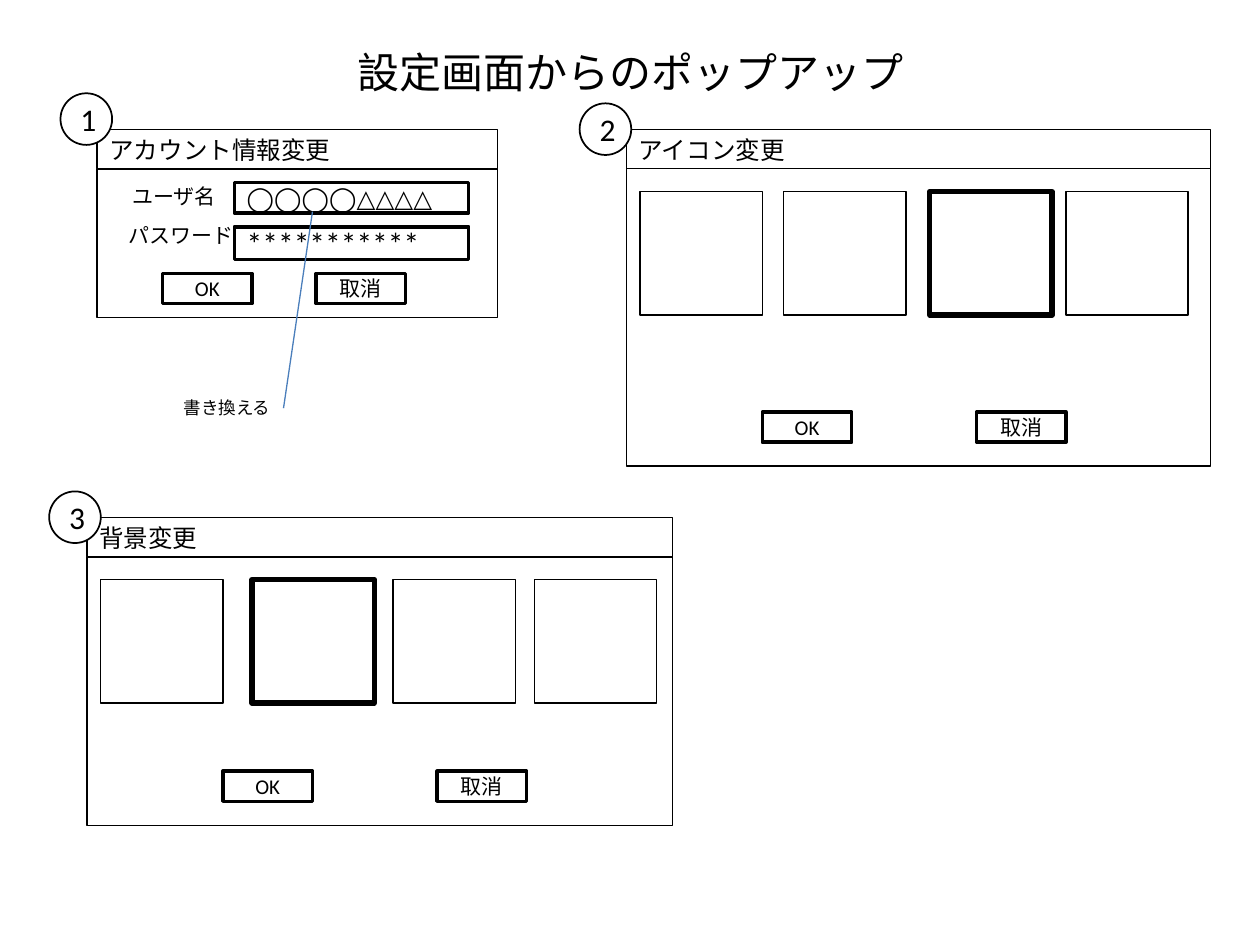
from lxml import etree
from pptx import Presentation
from pptx import util as u
from pptx.dml.color import RGBColor
from pptx.enum import shapes, text
from pptx.oxml.ns import qn

BLACK, WHITE, BLUE = "000000", "FFFFFF", "4A7EBB"
LEFT, MID = text.PP_ALIGN.LEFT, text.PP_ALIGN.CENTER
HEAD = 0.31


def tint(fmt, color):
    """Set a colour format from a hex string."""
    fmt.rgb = RGBColor.from_string(color)


def place(shape, box):
    """Move and size a shape to a box in inches."""
    for name, val in zip(("left", "top", "width", "height"), box):
        setattr(shape, name, u.Inches(val))


def write(shape, words, size, align=LEFT, face="Calibri", **frame):
    """Put one formatted line of text in a shape."""
    body = shape.text_frame
    for name, val in frame.items():
        setattr(body, name, val)
    body.text = words
    par = body.paragraphs[0]
    par.alignment = align
    font = par.runs[0].font
    for name, val in {"size": u.Pt(size), "name": face}.items():
        setattr(font, name, val)
    tint(font.color, BLACK)


def label(parts, box, words, size, **style):
    """Add a plain text box."""
    area = parts.add_textbox(*map(u.Inches, box))
    write(area, words, size, **style)


def frame(parts, box, line=0.75, fill=None, kind=shapes.MSO_SHAPE.RECTANGLE):
    """Add an outlined shape, empty unless a fill is given."""
    shape = parts.add_shape(kind, *map(u.Inches, box))
    shape.shadow.inherit = False
    if fill:
        shape.fill.solid()
        tint(shape.fill.fore_color, fill)
    else:
        shape.fill.background()
    shape.line.width = u.Pt(line)
    tint(shape.line.color, BLACK)
    return shape


def field(parts, box, words, size, line=2, align=LEFT, fill=None):
    """Add a framed line of text, used for headers, inputs and buttons."""
    shape = frame(parts, box, line, fill)
    write(shape, words, size, align, word_wrap=False,
          vertical_anchor=text.MSO_ANCHOR.MIDDLE)


def window(slide, box, name, keys, rise):
    """Draw a popup with its header and buttons; return its parts."""
    x, y, w, h = box
    parts = slide.shapes.add_group_shape().shapes
    frame(parts, (x, y + HEAD, w, h - HEAD))
    field(parts, (x, y, w, HEAD), name, 14, line=0.75)
    for dx, words in zip(keys, ("OK", "取消")):
        field(parts, (x + dx, y + h - rise, 0.71, 0.24), words, 12, align=MID)
    return parts


def account(slide, box):
    """Draw the account popup with its two inputs."""
    x, y, _, _ = box
    parts = window(slide, box, "アカウント情報変更", (0.52, 1.74), 0.35)
    field(parts, (x + 1.09, y + 0.77, 1.86, 0.26), "***********", 18)
    field(parts, (x + 1.09, y + 0.42, 1.86, 0.24), "◯◯◯◯△△△△", 14, fill=WHITE)
    label(parts, (x + 0.18, y + 0.38, 0.9, 0.3), "ユーザ名", 12, word_wrap=True)
    label(parts, (x + 0.15, y + 0.69, 1.08, 0.3), "パスワード", 12, word_wrap=True)


def picker(slide, box, name, tiles, chosen):
    """Draw a popup with a row of tiles, one of them chosen."""
    x, y, _, _ = box
    parts = window(slide, box, name, (1.08, 2.78), 0.43)
    for i, dx in enumerate(tiles):
        frame(parts, (x + dx, y + 0.49, 0.97, 0.98), 3 if i == chosen else 0.75)


def note(slide, box, start, end, words):
    """Draw a remark and the line that leads to it."""
    line = slide.shapes.add_connector(
        shapes.MSO_CONNECTOR.STRAIGHT, *map(u.Inches, start + end))
    line.line.width = u.Pt(0.75)
    tint(line.line.color, BLUE)
    etree.SubElement(line._element.spPr, qn("a:effectLst"))
    label(slide.shapes, box, words, 10, face="Times New Roman", word_wrap=False)


def badge(slide, x, y, num):
    """Draw a numbered circle."""
    disc = frame(slide.shapes, (x, y, 0.41, 0.41), 1, WHITE, shapes.MSO_SHAPE.OVAL)
    write(disc, str(num), 18, MID, word_wrap=True,
          vertical_anchor=text.MSO_ANCHOR.MIDDLE)


def main():
    """Build and save the slide."""
    deck = Presentation()
    deck.slide_width, deck.slide_height = u.Inches(10), u.Inches(7.5)
    slide = deck.slides.add_slide(deck.slide_layouts[5])
    title = slide.shapes.title
    place(title, (0.69, 0.4, 8.63, 0.34))
    write(title, "設定画面からのポップアップ", 24, MID, word_wrap=True,
          auto_size=text.MSO_AUTO_SIZE.NONE,
          vertical_anchor=text.MSO_ANCHOR.MIDDLE)
    account(slide, (0.77, 1.03, 3.18, 1.49))
    picker(slide, (4.97, 1.03, 4.64, 2.67), "アイコン変更",
           (0.11, 1.25, 2.41, 3.49), 2)
    picker(slide, (0.69, 4.11, 4.65, 2.44), "背景変更",
           (0.11, 1.31, 2.43, 3.55), 1)
    note(slide, (1.36, 3.1, 0.89, 0.27), (2.48, 1.68), (2.25, 3.24), "書き換える")
    for num, (x, y) in enumerate(((0.48, 0.74), (4.6, 0.82), (0.39, 3.9)), 1):
        badge(slide, x, y, num)
    deck.save("out.pptx")


if __name__ == "__main__":
    main()
